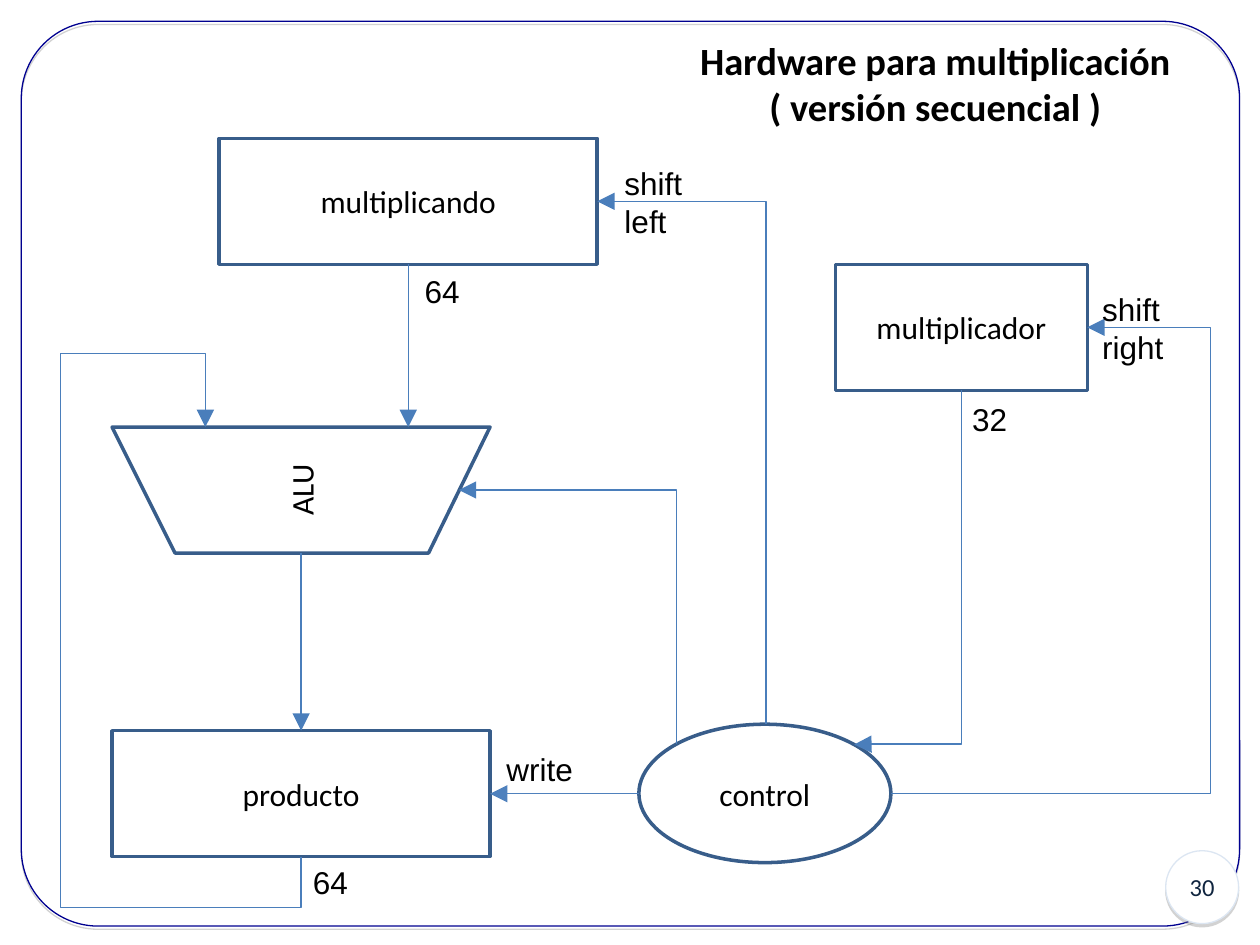
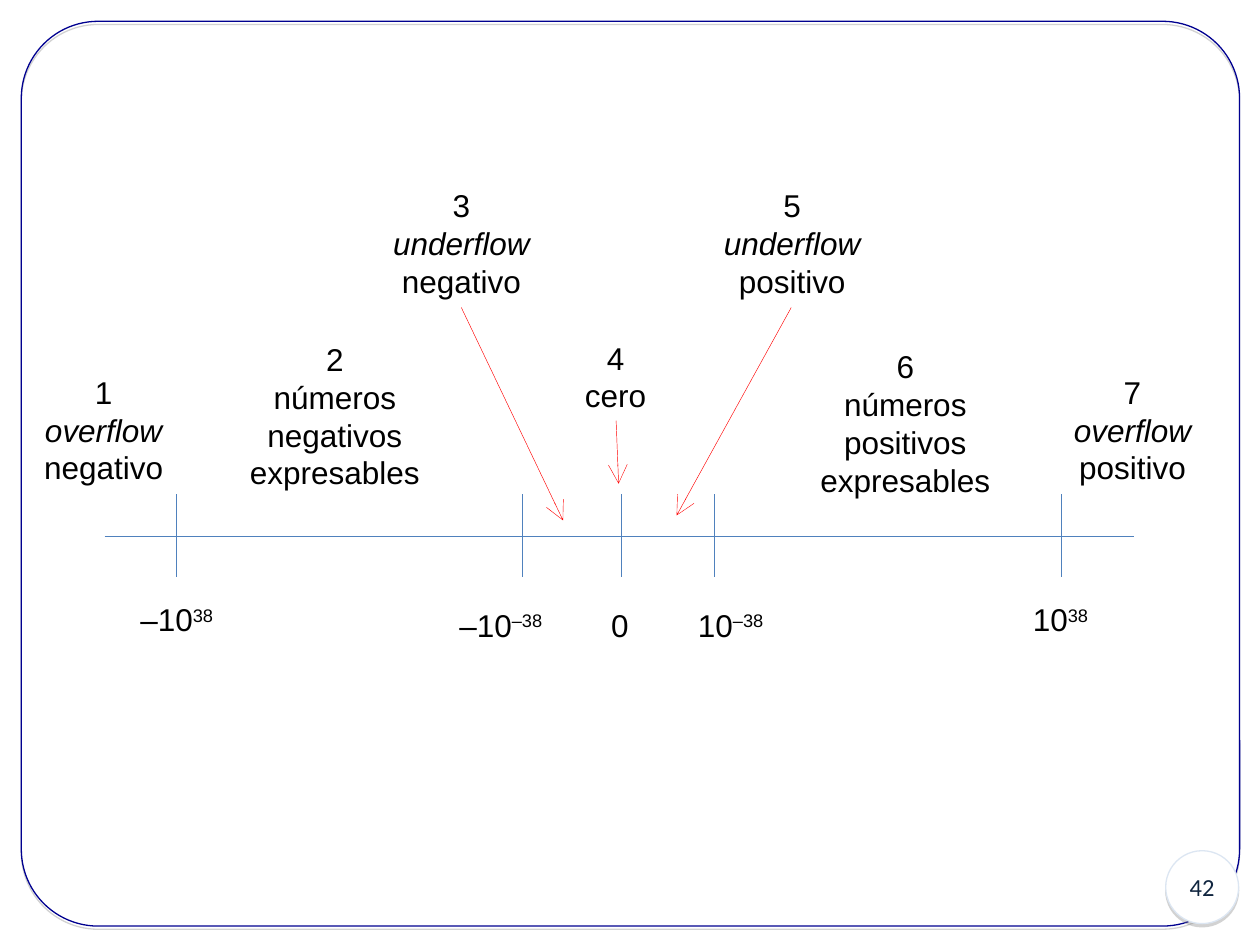
"""Build two slides on binary multiplication hardware and floating point ranges."""
import dataclasses
import typing

import lxml.etree
import pptx
import pptx.dml.color
import pptx.enum.shapes
import pptx.enum.text
import pptx.oxml.ns
import pptx.util

Cm = pptx.util.Cm
Pt = pptx.util.Pt
qn = pptx.oxml.ns.qn
Kind = pptx.enum.shapes.MSO_SHAPE
Link = pptx.enum.shapes.MSO_CONNECTOR
Align = pptx.enum.text.PP_ALIGN
Point = tuple[float, float]

BLACK, WHITE, RED = "000000", "FFFFFF", "FF0000"
NAVY, PALE, INK, SHADE = "000090", "DCE6F2", "10253F", "808080"
EDGE, WIRE, BLUE = "385D8A", "4A7EBB", "4F81BD"


class Run(typing.NamedTuple):
    text: str
    slant: bool = False
    raised: bool = False


Rows = list[list[Run]]


@dataclasses.dataclass
class Style:
    font: str = "Arial"
    size: float = 18
    color: str = BLACK
    bold: bool = False
    align: Align = Align.LEFT


@dataclasses.dataclass
class Label:
    x: float
    y: float
    w: float
    rows: Rows
    style: Style


@dataclasses.dataclass
class Box:
    kind: Kind
    x: float
    y: float
    w: float
    h: float
    text: str


@dataclasses.dataclass
class Line:
    start: Point
    end: Point
    color: str = WIRE
    width: float = 0.75
    head: str = ""


@dataclasses.dataclass
class Elbow:
    """A bent wire: its turn in degrees and its bends in thousandths."""
    bends: int
    start: Point
    end: Point
    turn: int
    flip: bool = True
    shifts: tuple[int, ...] = ()


PLAIN = Style()
MID = Style(align=Align.CENTER)
NAME = Style(font="Calibri", align=Align.CENTER)
TITLE = Style("Calibri", 22, BLACK, True, Align.CENTER)
PAGE = Style("Calibri", 14, INK, False, Align.CENTER)


def tint(code: str) -> pptx.dml.color.RGBColor:
    return pptx.dml.color.RGBColor.from_string(code)


def plain(*lines: str) -> Rows:
    return [[Run(line)] for line in lines]


def zone(mark: str, term: str, sign: str) -> Rows:
    return [[Run(mark)], [Run(term, slant=True)], [Run(sign)]]


def power(base: str, raised: str) -> Rows:
    return [[Run(base), Run(raised, raised=True)]]


def write(frame, rows: Rows, style: Style) -> None:
    """Fill a text frame run by run."""
    for i, row in enumerate(rows):
        para = frame.add_paragraph() if i else frame.paragraphs[0]
        para.alignment = style.align
        for part in row:
            run = para.add_run()
            run.text = part.text
            run.font.name, run.font.size = style.font, Pt(style.size)
            run.font.bold, run.font.italic = style.bold, part.slant
            run.font.color.rgb = tint(style.color)
            if part.raised:
                run._r.get_or_add_rPr().set("baseline", "30000")


def dress(shape, edge: str, width: float, fill: str = "") -> None:
    """Set fill and outline, and drop the theme shadow."""
    shape.shadow.inherit = False
    if fill:
        shape.fill.solid()
        shape.fill.fore_color.rgb = tint(fill)
    else:
        shape.fill.background()
    shape.line.color.rgb = tint(edge)
    shape.line.width = Pt(width)


def shade(shape) -> None:
    """Cast a soft grey shadow straight down."""
    effects = shape._element.spPr.find(qn("a:effectLst"))
    cast = lxml.etree.SubElement(effects, qn("a:outerShdw"), dist="23000", dir="5400000", rotWithShape="0")
    color = lxml.etree.SubElement(cast, qn("a:srgbClr"), val=SHADE)
    lxml.etree.SubElement(color, qn("a:alpha"), val="35000")


def center(shape, text: str, style: Style) -> None:
    frame = shape.text_frame
    frame.word_wrap = True
    frame.vertical_anchor = pptx.enum.text.MSO_ANCHOR.MIDDLE
    write(frame, plain(text), style)


def place(slide, label: Label) -> None:
    """Add a text box as tall as its rows."""
    tall = 0.25 + len(label.rows) * label.style.size * 0.0423
    frame = slide.shapes.add_textbox(Cm(label.x), Cm(label.y), Cm(label.w), Cm(tall)).text_frame
    frame.word_wrap = True
    frame.auto_size = pptx.enum.text.MSO_AUTO_SIZE.SHAPE_TO_FIT_TEXT
    write(frame, label.rows, label.style)


def block(slide, box: Box) -> None:
    shape = slide.shapes.add_shape(box.kind, Cm(box.x), Cm(box.y), Cm(box.w), Cm(box.h))
    dress(shape, EDGE, 2)
    center(shape, box.text, NAME)


def stroke(wire, color: str, width: float, head: str) -> None:
    """Set the line, arrowhead and empty effects of a connector."""
    wire.line.color.rgb = tint(color)
    wire.line.width = Pt(width)
    if head:
        lxml.etree.SubElement(wire.line._get_or_add_ln(), qn("a:tailEnd"), type=head, w="lg", len="lg")
    lxml.etree.SubElement(wire._element.spPr, qn("a:effectLst"))


def draw(slide, line: Line) -> None:
    wire = slide.shapes.add_connector(Link.STRAIGHT, *map(Cm, line.start + line.end))
    stroke(wire, line.color, line.width, line.head)


def bend(slide, elbow: Elbow) -> None:
    """Add an elbow connector, turned about the middle of its ends."""
    (x1, y1), (x2, y2) = elbow.start, elbow.end
    wide, tall = abs(x2 - x1), abs(y2 - y1)
    if elbow.turn % 180:
        wide, tall = tall, wide
    left, top = (x1 + x2 - wide) / 2, (y1 + y2 - tall) / 2
    ends = (top + tall, top) if elbow.flip else (top, top + tall)
    wire = slide.shapes.add_connector(Link.ELBOW, Cm(left), Cm(ends[0]), Cm(left + wide), Cm(ends[1]))
    props = wire._element.spPr
    props.find(qn("a:xfrm")).set("rot", str(elbow.turn * 60000))
    geom = props.find(qn("a:prstGeom"))
    geom.set("prst", f"bentConnector{elbow.bends}")
    guides = geom.find(qn("a:avLst"))
    for i, shift in enumerate(elbow.shifts, 1):
        lxml.etree.SubElement(guides, qn("a:gd"), name=f"adj{i}", fmla=f"val {shift * 100}")
    stroke(wire, WIRE, 0.75, "triangle")


def start(deck, page: str):
    """Add a blank slide with the shared frame and page badge."""
    slide = deck.slides.add_slide(deck.slide_layouts[6])
    frame = slide.shapes.add_shape(Kind.ROUNDED_RECTANGLE, Cm(0.43), Cm(0.43), Cm(24.56), Cm(18.24))
    frame.adjustments[0] = 0.085
    dress(frame, NAVY, 0.75)
    badge = slide.shapes.add_shape(Kind.OVAL, Cm(23.5), Cm(17.15), Cm(1.47), Cm(1.47))
    dress(badge, PALE, 0.75, WHITE)
    center(badge, page, PAGE)
    badge.text_frame.word_wrap = False
    for shape in (frame, badge):
        shade(shape)
    return slide


def adder(slide) -> None:
    """Draw the ALU as a trapezoid with upright text."""
    path = slide.shapes.build_freeform(Cm(2.26), Cm(8.61))
    path.add_line_segments([(Cm(x), Cm(y)) for x, y in ((9.88, 8.61), (8.64, 11.15), (3.53, 11.15))])
    shape = path.convert_to_shape()
    dress(shape, EDGE, 2)
    center(shape, "ALU", NAME)
    shape.text_frame._txBody.bodyPr.set("vert", "vert270")


def circuit(deck) -> None:
    slide = start(deck, "30")
    for box in (
        Box(Kind.RECTANGLE, 4.42, 2.79, 7.62, 2.54, "multiplicando"),
        Box(Kind.RECTANGLE, 2.26, 14.73, 7.62, 2.54, "producto"),
        Box(Kind.RECTANGLE, 16.84, 5.33, 5.08, 2.54, "multiplicador"),
        Box(Kind.OVAL, 12.88, 14.6, 5.08, 2.79, "control"),
    ):
        block(slide, box)
    adder(slide)
    for line in (
        Line((8.23, 5.33), (8.23, 8.61), head="triangle"),
        Line((6.07, 11.15), (6.07, 14.73), head="triangle"),
        Line((12.88, 16), (9.88, 16), BLUE, head="triangle"),
    ):
        draw(slide, line)
    for elbow in (
        Elbow(5, (6.07, 17.27), (4.14, 8.61), 270, shifts=(-119, 2510, 1171)),
        Elbow(2, (15.44, 14.6), (12.04, 4.06), 270),
        Elbow(2, (13.64, 15.01), (9.25, 9.88), 270),
        Elbow(3, (17.96, 16), (21.92, 6.6), 0, shifts=(1627,)),
        Elbow(3, (19.38, 7.87), (17.22, 15.01), 90, False, (999,)),
    ):
        bend(slide, elbow)
    for label in (
        Label(13.74, 0.62, 10.23, plain("Hardware para multiplicación", "( versión secuencial )"), TITLE),
        Label(12.34, 3.18, 1.9, plain("shift", "left"), PLAIN),
        Label(21.97, 5.72, 2, plain("shift", "right"), PLAIN),
        Label(9.96, 14.99, 2.1, plain("write"), PLAIN),
        Label(19.35, 7.93, 1.4, plain("32"), PLAIN),
        Label(8.31, 5.36, 1.4, plain("64"), PLAIN),
        Label(6.06, 17.28, 1.4, plain("64"), PLAIN),
    ):
        place(slide, label)


def ranges(deck) -> None:
    slide = start(deck, "42")
    draw(slide, Line((2.11, 10.8), (22.86, 10.8), BLUE, 0.25))
    for x in (3.56, 10.52, 12.52, 14.4, 21.39):
        draw(slide, Line((x, 9.96), (x, 11.63), BLUE, 0.25))
    for tail, tip in (
        ((9.3, 6.2), (11.35, 10.49)),
        ((15.95, 6.2), (13.64, 10.39)),
        ((12.42, 8.48), (12.47, 9.75)),
    ):
        draw(slide, Line(tail, tip, RED, 0.25, "arrow"))
    for label in (
        Label(0.49, 7.39, 3.2, zone("1", "overflow", "negativo"), MID),
        Label(4.65, 6.73, 4.2, plain("2", "números", "negativos", "expresables"), MID),
        Label(7.5, 3.63, 3.6, zone("3", "underflow", "negativo"), MID),
        Label(11.41, 6.7, 2, plain("4", "cero"), MID),
        Label(14.17, 3.63, 3.6, zone("5", "underflow", "positivo"), MID),
        Label(16.15, 6.88, 4.2, plain("6", "números", "positivos", "expresables"), MID),
        Label(21.23, 7.39, 3.2, zone("7", "overflow", "positivo"), MID),
        Label(2.58, 11.97, 2.2, power("–10", "38"), PLAIN),
        Label(9.01, 12.09, 2.4, power("–10", "–38"), PLAIN),
        Label(12.07, 12.09, 1.1, plain("0"), PLAIN),
        Label(13.82, 12.09, 2.1, power("10", "–38"), PLAIN),
        Label(20.57, 11.97, 1.9, power("10", "38"), PLAIN),
    ):
        place(slide, label)


def main() -> None:
    deck = pptx.Presentation()
    deck.slide_width, deck.slide_height = Cm(25.4), Cm(19.05)
    circuit(deck)
    ranges(deck)
    deck.save("out.pptx")


if __name__ == "__main__":
    main()
